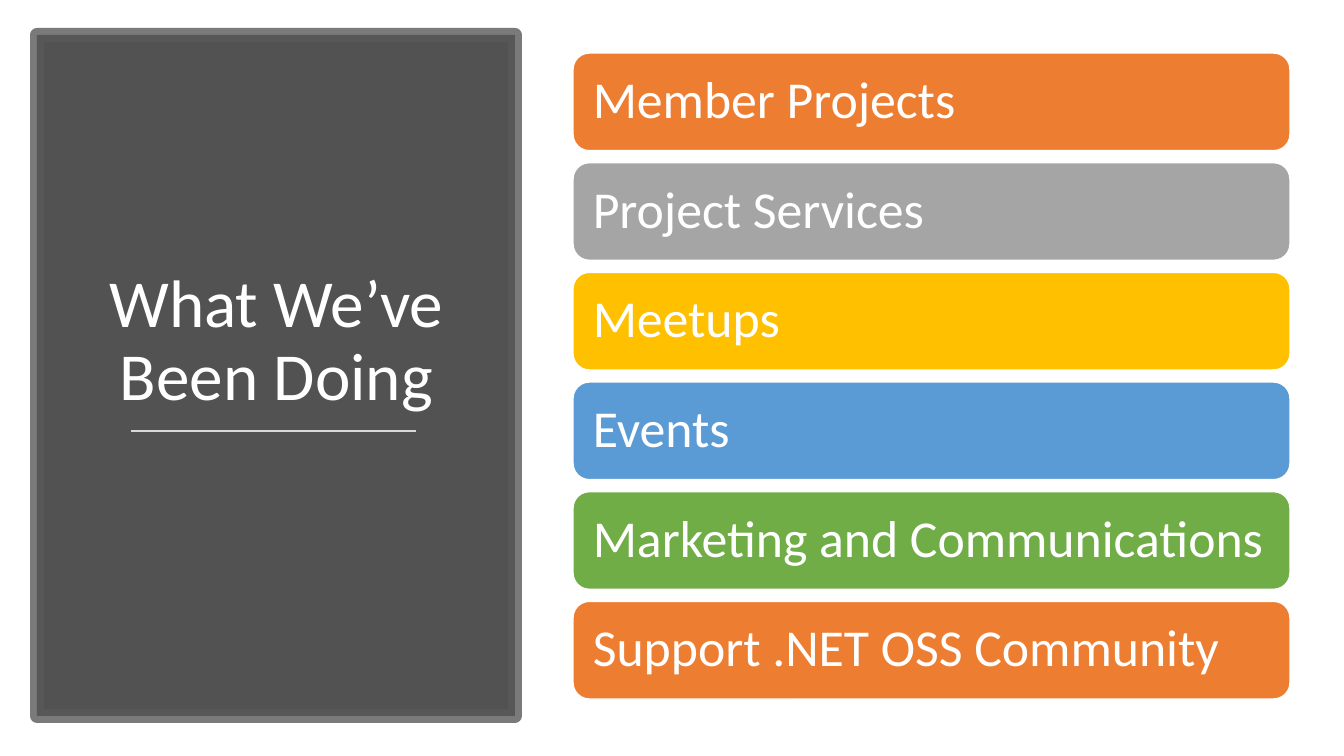
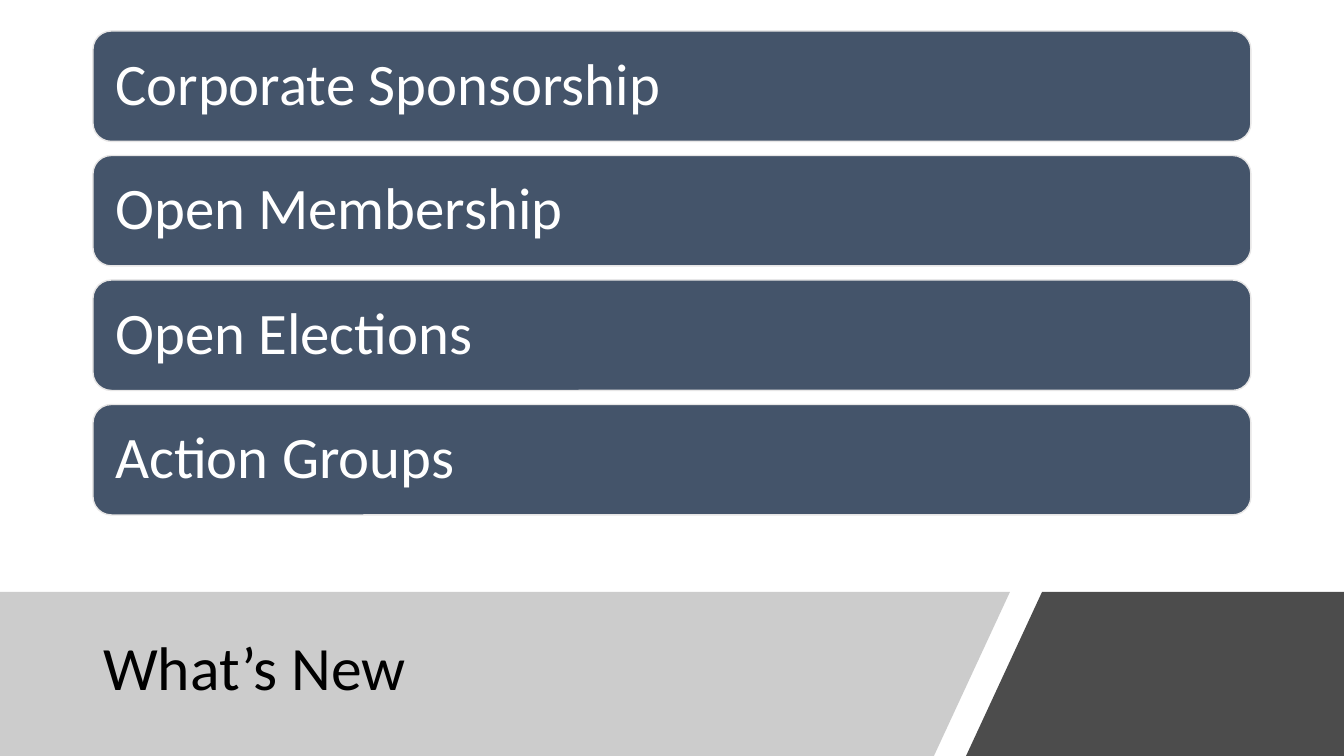
import pptx
import pptx.dml.color
import pptx.enum.shapes
import pptx.enum.text
import pptx.oxml.ns
import pptx.util
from lxml import etree

EMU_PER_PX = 12192000 / 1344
FONT = "Calibri"
WHITE, BLACK = "FFFFFF", "000000"
ORANGE, GRAY, GOLD, BLUE, GREEN = "ED7D31", "A5A5A5", "FFC000", "5B9BD5", "70AD47"
SLATE, SILVER = "44546A", "E7E6E6"

ALIGN = pptx.enum.text.PP_ALIGN
ANCHOR = pptx.enum.text.MSO_ANCHOR
SHAPE = pptx.enum.shapes.MSO_SHAPE
qn = pptx.oxml.ns.qn


def px(n):
    return pptx.util.Emu(round(n * EMU_PER_PX))


def rgb(color):
    return pptx.dml.color.RGBColor.from_string(color)


def paint(fill, color, parent, opacity=100):
    """Fill solidly; parent is the XML element that holds the fill."""
    fill.solid()
    fill.fore_color.rgb = rgb(color)
    if opacity < 100:
        clr = parent.find(qn("a:solidFill")).find(qn("a:srgbClr"))
        etree.SubElement(clr, qn("a:alpha"), val=str(opacity * 1000))


def style(sp, fill, opacity=100, line=None, width=1, line_opacity=100):
    sp.shadow.inherit = False
    spPr = sp.element.spPr
    paint(sp.fill, fill, spPr, opacity)
    if line is None:
        sp.line.fill.background()
    else:
        sp.line.width = pptx.util.Pt(width)
        paint(sp.line.fill, line, spPr.find(qn("a:ln")), line_opacity)


def write(tf, text, size, color, align=ALIGN.LEFT, anchor=ANCHOR.MIDDLE):
    tf.word_wrap = True
    tf.auto_size = pptx.enum.text.MSO_AUTO_SIZE.NONE
    tf.vertical_anchor = anchor
    p = tf.paragraphs[0]
    p.alignment = align
    p.line_spacing = 0.9
    r = p.add_run()
    r.text = text
    r.font.name = FONT
    r.font.size = pptx.util.Pt(size)
    r.font.color.rgb = rgb(color)


def add_title(s, text, box, size, color, **layout):
    """Place the title in front of the shapes drawn so far."""
    title = s.shapes.title
    title.left, title.top, title.width, title.height = map(px, box)
    write(title.text_frame, text, size, color, **layout)
    title.element.getparent().append(title.element)


def add_panel(s, box):
    sp = s.shapes.add_shape(SHAPE.RECTANGLE, *map(px, box))
    style(sp, "404040", 90, "595959", 10, 80)


def add_rule(s, x1, x2, y):
    line = s.shapes.add_connector(pptx.enum.shapes.MSO_CONNECTOR.STRAIGHT,
                                  px(x1), px(y), px(x2), px(y))
    line.line.width = pptx.util.Pt(1.75)
    line.line.color.rgb = rgb("D9D9D9")
    etree.SubElement(line.element.spPr, qn("a:effectLst"))


def add_polygon(s, points, color, opacity):
    start, *rest = [(px(x), px(y)) for x, y in points]
    builder = s.shapes.build_freeform(*start)
    builder.add_line_segments(rest, close=True)
    style(builder.convert_to_shape(), color, opacity)


def add_bars(s, bars, box, gap, inset, size, line):
    """Stack (text, color) bars evenly over the height of the box."""
    left, top, width, height = box
    bar_height = (height - gap * (len(bars) - 1)) / len(bars)
    for i, (text, color) in enumerate(bars):
        y = top + i * (bar_height + gap)
        sp = s.shapes.add_shape(SHAPE.ROUNDED_RECTANGLE,
                                px(left), px(y), px(width), px(bar_height))
        style(sp, color, line=line)
        tf = sp.text_frame
        tf.margin_left = tf.margin_right = px(inset)
        tf.margin_top = tf.margin_bottom = px(inset)
        write(tf, text, size, WHITE)


def build_activities(s):
    add_panel(s, (37, 35, 478, 681))
    add_title(s, "What We’ve Been Doing", (75, 101, 403, 319), 48, WHITE,
              align=ALIGN.CENTER, anchor=ANCHOR.BOTTOM)
    add_rule(s, 131, 416, 431)
    bars = [
        ("Member Projects", ORANGE),
        ("Project Services", GRAY),
        ("Meetups", GOLD),
        ("Events", BLUE),
        ("Marketing and Communications", GREEN),
        ("Support .NET OSS Community", ORANGE),
    ]
    add_bars(s, bars, (573, 53, 717, 646), 12, 15, 37, WHITE)


def build_news(s):
    top, bottom, right = 592, 756, 1344
    add_polygon(s, [(0, top), (1010, top), (934, bottom), (0, bottom)],
                "808080", 40)
    add_title(s, "What’s New", (93, 610, 851, 121), 44, BLACK)
    add_polygon(s, [(1042, top), (right, top), (right, bottom), (966, bottom)],
                BLACK, 70)
    topics = ["Corporate Sponsorship", "Open Membership",
              "Open Elections", "Action Groups"]
    add_bars(s, [(topic, SLATE) for topic in topics],
             (93, 31, 1158, 484), 14, 17, 42, SILVER)


def main():
    prs = pptx.Presentation()
    prs.slide_width, prs.slide_height = px(1344), px(756)
    title_only = prs.slide_layouts[5]
    for build in (build_activities, build_news):
        build(prs.slides.add_slide(title_only))
    prs.save("out.pptx")


if __name__ == "__main__":
    main()
